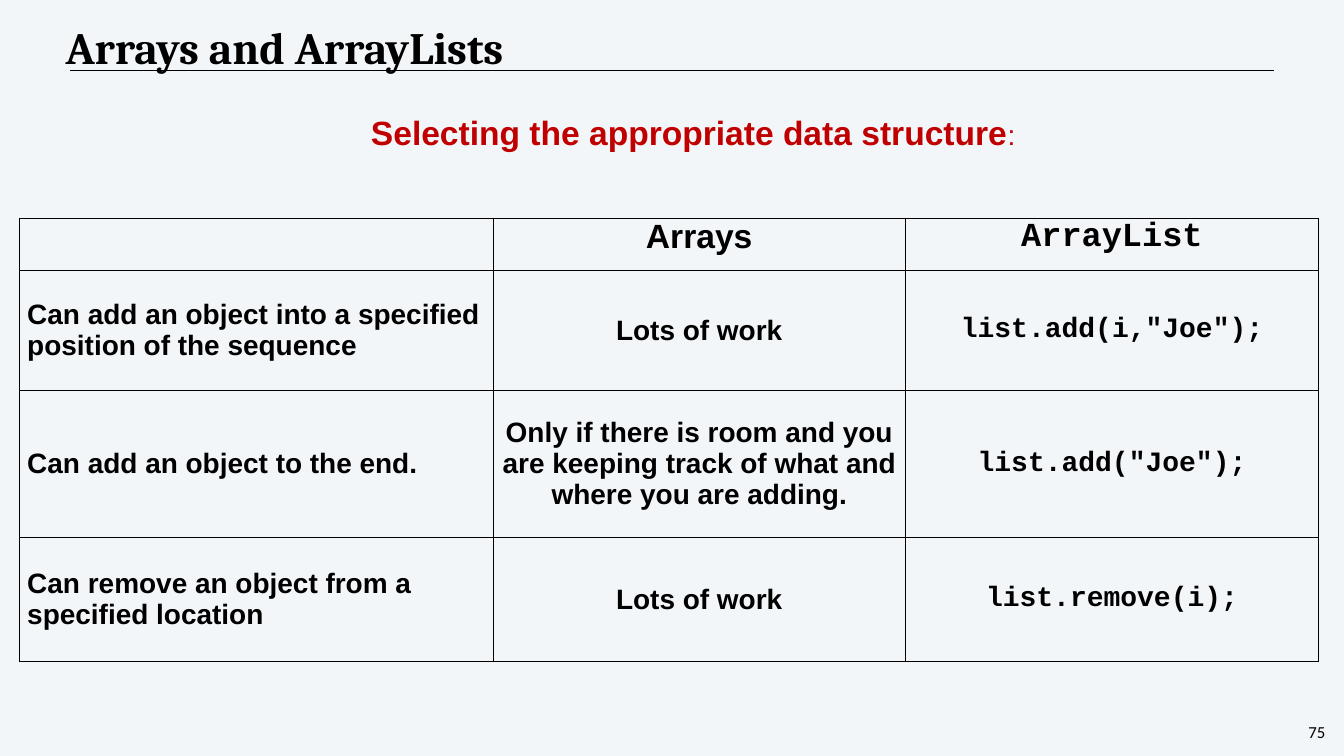
from lxml import etree
from pptx import Presentation
from pptx import util as u
from pptx.dml.color import RGBColor
from pptx.enum import shapes, text
from pptx.oxml import ns

BLACK = RGBColor(0x00, 0x00, 0x00)
RED = RGBColor(0xC0, 0x00, 0x00)
PALE = RGBColor(0xF3, 0xF6, 0xF9)
WIDTH, HEIGHT = 26.67, 15
COLUMNS = [9.39, 8.19, 8.19]
ROWS = [1.03, 2.39, 2.91, 2.47]
CONTENT = [
    ["", "Arrays", "ArrayList"],
    ["Can add an object into a specified position of the sequence",
     "Lots of work", 'list.add(i,"Joe");'],
    ["Can add an object to the end.",
     "Only if there is room and you are keeping track of what and where you are adding.",
     'list.add("Joe");'],
    ["Can remove an object from a specified location",
     "Lots of work", "list.remove(i);"],
]
LEFT, CENTER = text.PP_ALIGN.LEFT, text.PP_ALIGN.CENTER
TOP, MIDDLE = text.MSO_ANCHOR.TOP, text.MSO_ANCHOR.MIDDLE


def inches(*values):
    return [u.Inches(v) for v in values]


def add_text(p, words, size=40, font="Arial", color=BLACK, bold=True,
             align=CENTER, line=None):
    p.alignment = align
    if line:
        p.line_spacing = u.Pt(line)
    r = p.add_run()
    r.text = words
    r.font.size, r.font.name, r.font.bold = u.Pt(size), font, bold
    r.font.color.rgb = color


def set_margins(target, left, top, right, bottom):
    (target.margin_left, target.margin_top,
     target.margin_right, target.margin_bottom) = inches(left, top, right, bottom)


def add_box(s, box, wrap=True):
    tf = s.shapes.add_textbox(*inches(*box)).text_frame
    tf.word_wrap = wrap
    return tf


def add_rule(s, left, right, y):
    c = s.shapes.add_connector(shapes.MSO_CONNECTOR.STRAIGHT,
                               *inches(left, y, right, y))
    c.line.color.rgb = BLACK
    c.line.width = u.Pt(1)
    etree.SubElement(c._element.spPr, ns.qn("a:effectLst"))


def set_title(s, words):
    title = s.shapes.title
    title.left, title.top, title.width, title.height = inches(1.24, 0.58, 18.67, 2.5)
    tf = title.text_frame
    tf.auto_size = text.MSO_AUTO_SIZE.NONE
    tf.vertical_anchor = TOP
    set_margins(tf, 0.06, 0.19, 0.06, 0.06)
    add_text(tf.paragraphs[0], words, 64, "Cambria", align=LEFT, line=50)


def style_cell(cell, anchor):
    cell.vertical_anchor = anchor
    set_margins(cell, 0.15, 0, 0.15, 0)
    tcPr = cell._tc.get_or_add_tcPr()
    for side in ("lnL", "lnR", "lnT", "lnB"):
        ln = etree.SubElement(tcPr, ns.qn(f"a:{side}"), w=str(u.Pt(1)))
        fill = etree.SubElement(ln, ns.qn("a:solidFill"))
        etree.SubElement(fill, ns.qn("a:srgbClr"), val=str(BLACK))
    cell.fill.background()


def add_comparison(s, left, top):
    table = s.shapes.add_table(len(ROWS), len(COLUMNS), *inches(
        left, top, sum(COLUMNS), sum(ROWS))).table
    table.first_row = table.horz_banding = False
    for column, width in zip(table.columns, COLUMNS):
        column.width = u.Inches(width)
    for i, (height, words) in enumerate(zip(ROWS, CONTENT)):
        table.rows[i].height = u.Inches(height)
        for j, value in enumerate(words):
            cell = table.cell(i, j)
            style_cell(cell, MIDDLE if i else TOP)
            if value:
                add_text(cell.text_frame.paragraphs[0], value,
                         size=40 if i else 48,
                         font="Courier New" if j == 2 else "Arial",
                         align=CENTER if j else LEFT)


def main():
    prs = Presentation()
    prs.slide_width, prs.slide_height = inches(WIDTH, HEIGHT)
    s = prs.slides.add_slide(prs.slide_layouts[5])
    s.background.fill.solid()
    s.background.fill.fore_color.rgb = PALE

    add_rule(s, 1.39, 25.28, 1.4)
    set_title(s, "Arrays and ArrayLists")

    p = add_box(s, (5.17, 2.17, 17.17, 0.91)).paragraphs[0]
    add_text(p, "Selecting the appropriate data structure", 48, color=RED)
    add_text(p, ":", color=RED, bold=False)

    add_comparison(s, 0.39, 4.33)

    tf = add_box(s, (25.92, 14.29, 0.42, 0.48), wrap=False)
    set_margins(tf, 0.04, 0.04, 0.04, 0.04)
    add_text(tf.paragraphs[0], "75", 24, "Calibri", bold=False, line=28)

    prs.save("out.pptx")


if __name__ == "__main__":
    main()
